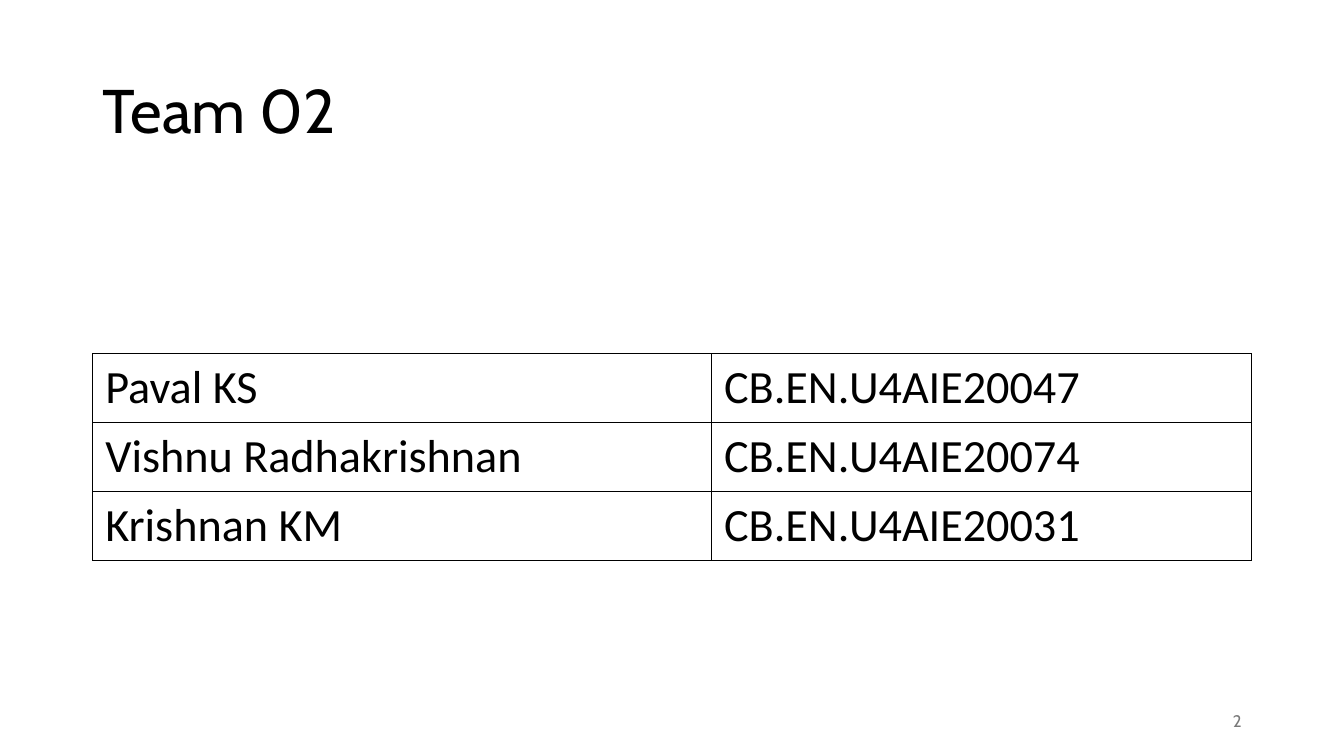
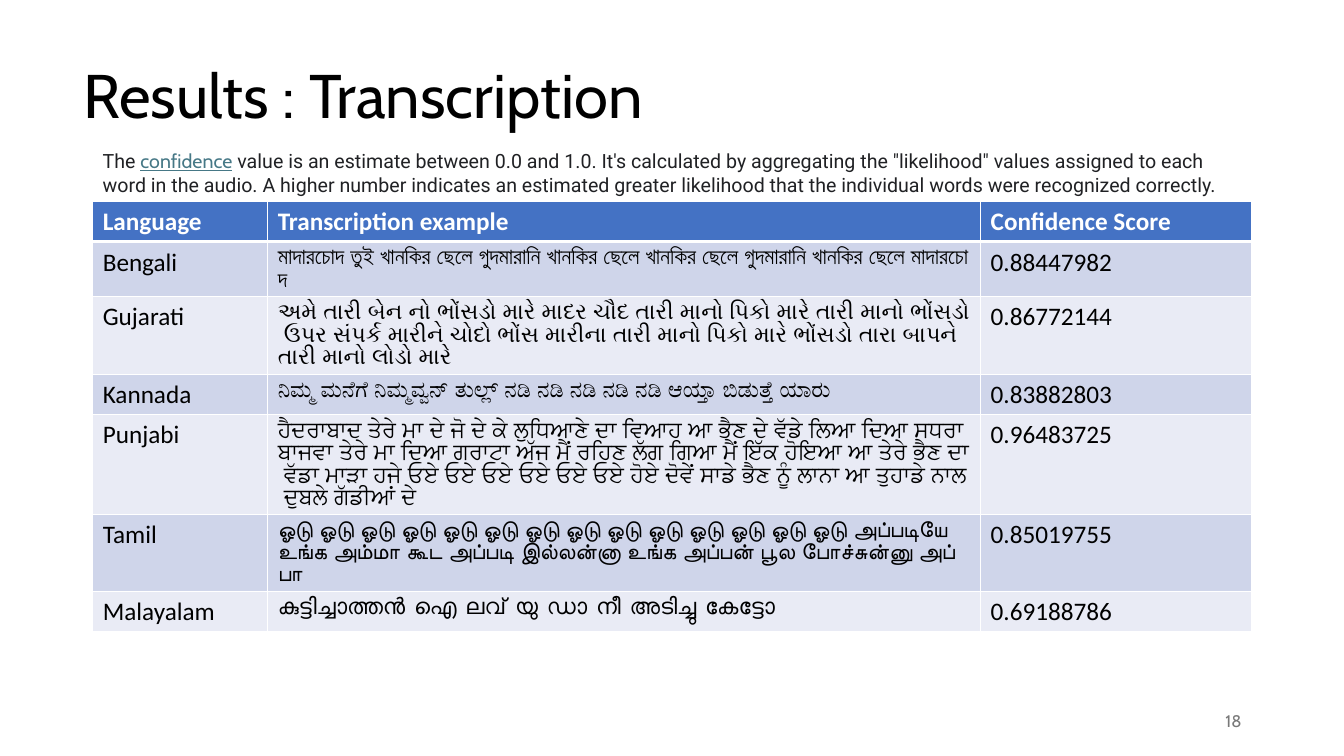
from lxml.etree import SubElement
from pptx import Presentation
from pptx.dml.color import RGBColor
from pptx.enum.text import MSO_ANCHOR as Anchor, PP_ALIGN as Align
from pptx.oxml.ns import qn
from pptx.util import Pt

# Colours and fonts
BLACK = RGBColor(0x00, 0x00, 0x00)
WHITE = RGBColor(0xFF, 0xFF, 0xFF)
GREY = RGBColor(0x79, 0x79, 0x79)
INK = RGBColor(0x20, 0x21, 0x24)
LINK = RGBColor(0x46, 0x78, 0x86)
HEADER = RGBColor(0x44, 0x72, 0xC4)
BANDS = [RGBColor(0xCF, 0xD5, 0xEA), RGBColor(0xE9, 0xEB, 0xF5)]
TITLE_FONT, TABLE_FONT, NOTE_FONT = "Cabin", "Calibri", "Roboto"

# Layout, in points
LEFT, CONTENT_WIDTH = 66.25, 828
NO_BREAK_SPACE = chr(160)


def unbroken(text):
    return text.replace(" ", NO_BREAK_SPACE)


class Deck:
    def __init__(self):
        self.presentation = Presentation()
        self.presentation.slide_width = Pt(960)
        self.presentation.slide_height = Pt(540)
        self.slide = None

    def add_slide(self, title, number, left, top):
        blank = self.presentation.slide_layouts[6]
        self.slide = self.presentation.slides.add_slide(blank)
        paragraph = self.text_box(left, top, CONTENT_WIDTH, 104.4, Anchor.MIDDLE)
        paragraph.line_spacing = 0.9
        self.run(paragraph, title, 44, TITLE_FONT)
        paragraph = self.text_box(678, 500.5, 216, 28.75, Anchor.MIDDLE)
        paragraph.alignment = Align.RIGHT
        self.run(paragraph, number, 12, TITLE_FONT, GREY)

    def text_box(self, left, top, width, height, anchor=Anchor.TOP):
        shape = self.slide.shapes.add_textbox(Pt(left), Pt(top), Pt(width), Pt(height))
        frame = shape.text_frame
        frame.word_wrap = True
        frame.vertical_anchor = anchor
        return frame.paragraphs[0]

    def run(self, paragraph, text, size, font, color=BLACK, bold=False, underline=False):
        run = paragraph.add_run()
        run.text = text
        run.font.size = Pt(size)
        run.font.name = font
        run.font.color.rgb = color
        run.font.bold = bold
        run.font.underline = underline

    def table(self, top, widths, row_height, row_count):
        shape = self.slide.shapes.add_table(
            row_count, len(widths), Pt(LEFT), Pt(top),
            Pt(sum(widths)), Pt(row_height * row_count))
        table = shape.table
        table.first_row = table.horz_banding = False
        for column, width in zip(table.columns, widths):
            column.width = Pt(width)
        for row in table.rows:
            row.height = Pt(row_height)
        return table

    def cell(self, cell, text, size, line, line_width, fill=None, color=BLACK,
             bold=False, margins=(7.2, 3.6), line_pitch=None,
             top_width=None, bottom_width=None):
        cell.margin_left = cell.margin_right = Pt(margins[0])
        cell.margin_top = cell.margin_bottom = Pt(margins[1])
        paragraph = cell.text_frame.paragraphs[0]
        if line_pitch:
            paragraph.line_spacing = Pt(line_pitch)
        self.run(paragraph, text, size, TABLE_FONT, color, bold)
        # Borders come before the fill in the cell properties
        borders = {"L": line_width, "R": line_width,
                   "T": top_width or line_width, "B": bottom_width or line_width}
        properties = cell._tc.get_or_add_tcPr()
        for side, width in borders.items():
            border = SubElement(properties, qn(f"a:ln{side}"), w=str(int(Pt(width))))
            solid = SubElement(border, qn("a:solidFill"))
            SubElement(solid, qn("a:srgbClr"), val=str(line))
        if fill is None:
            cell.fill.background()
        else:
            cell.fill.solid()
            cell.fill.fore_color.rgb = fill


TEAM = [
    ("Paval KS", "CB.EN.U4AIE20047"),
    ("Vishnu Radhakrishnan", "CB.EN.U4AIE20074"),
    ("Krishnan KM", "CB.EN.U4AIE20031"),
]

RESULTS = [
    ("Language", "Transcription example", "Confidence Score"),
    ("Bengali",
     "মাদারচোদ তুই খানকির ছেলে গুদমারানি খানকির ছেলে খানকির ছেলে "
     "গুদমারানি খানকির ছেলে মাদারচোদ",
     "0.88447982"),
    ("Gujarati",
     "અમે તારી બેન નો ભોંસડો મારે માદર ચૌદ તારી માનો પિકો મારે તારી માનો ભોંસડો "
     "ઉપર સંપર્ક મારીને ચોદો ભોંસ મારીના તારી માનો પિકો મારે ભોંસડો તારા બાપને "
     "તારી માનો લોડો મારે",
     "0.86772144"),
    ("Kannada",
     "ನಿಮ್ಮ ಮನೆಗೆ ನಿಮ್ಮವ್ವನ್ ತುಲ್ಲ್ ನಡಿ ನಡಿ ನಡಿ ನಡಿ ನಡಿ ಆಯ್ತಾ ಬಿಡುತ್ತೆ ಯಾರು",
     "0.83882803"),
    ("Punjabi",
     "ਹੈਦਰਾਬਾਦ ਤੇਰੇ ਮਾ ਦੇ ਜੋ ਦੇ ਕੇ ਲੁਧਿਆਣੇ ਦਾ ਵਿਆਹ ਆ ਭੈਣ ਦੇ ਵੱਡੇ ਲਿਆ ਦਿਆ ਸਧਰਾ "
     "ਬਾਜਵਾ ਤੇਰੇ ਮਾ ਦਿਆ ਗਰਾਟਾ ਅੱਜ ਮੈਂ ਰਹਿਣ ਲੱਗ ਗਿਆ ਮੈਂ ਇੱਕ ਹੋਇਆ ਆ ਤੇਰੇ ਭੈਣ ਦਾ "
     "ਵੱਡਾ ਮਾੜਾ ਹਜੇ ਓਏ ਓਏ ਓਏ ਓਏ ਓਏ ਓਏ ਹੋਏ ਦੋਵੇਂ ਸਾਡੇ ਭੈਣ ਨੂੰ ਲਾਨਾ ਆ ਤੁਹਾਡੇ ਨਾਲ "
     "ਦੁਬਲੇ ਗੱਡੀਆਂ ਦੇ",
     "0.96483725"),
    ("Tamil",
     "ஓடு ஓடு ஓடு ஓடு ஓடு ஓடு ஓடு ஓடு ஓடு ஓடு ஓடு ஓடு ஓடு ஓடு அப்படியே "
     "உங்க அம்மா கூட அப்படி இல்லன்னா உங்க அப்பன் பூல போச்சுன்னு அப்பா",
     "0.85019755"),
    ("Malayalam",
     "കുട്ടിച്ചാത്തൻ ഐ ലവ് യു ഡാ നീ അടിച്ചു കേട്ടോ",
     "0.69188786"),
]


def add_team(deck):
    deck.add_slide("Team 02", "2", LEFT, 28.75)
    table = deck.table(252.5, [442, 386], 49.25, len(TEAM))
    for row, member in enumerate(TEAM):
        for column, text in enumerate(member):
            deck.cell(table.cell(row, column), unbroken(text), 33, BLACK, 0.75,
                      margins=(9, 4.5))


def add_results(deck):
    deck.add_slide("Results : Transcription", "18", 52.5, 18)

    # Results table: a header row, then alternating bands
    table = deck.table(144, [125, 509.25, 193.75], 28.8, len(RESULTS))
    for row, result in enumerate(RESULTS):
        is_header = row == 0
        for column, text in enumerate(result):
            is_example = column == 1 and not is_header
            deck.cell(table.cell(row, column),
                      unbroken(text) if is_example else text,
                      16 if is_example else 18, WHITE, 0.82,
                      fill=HEADER if is_header else BANDS[(row - 1) % 2],
                      color=WHITE if is_header else BLACK, bold=is_header,
                      line_pitch=16 if is_example else None,
                      top_width=2.47 if row == 1 else None,
                      bottom_width=2.47 if is_header else None)

    # Explanation of the score
    paragraph = deck.text_box(LEFT, 103, CONTENT_WIDTH, 41)
    deck.run(paragraph, "The ", 14, NOTE_FONT, INK)
    deck.run(paragraph, "confidence", 14, TITLE_FONT, LINK, underline=True)
    deck.run(paragraph,
             " value is an estimate between 0.0 and 1.0. It's calculated by aggregating "
             "the \"likelihood\" values assigned to each word in the audio. A higher number "
             "indicates an estimated greater likelihood that the individual words were "
             "recognized correctly.", 14, NOTE_FONT, INK)


def main():
    deck = Deck()
    add_team(deck)
    add_results(deck)
    deck.presentation.save("out.pptx")


if __name__ == "__main__":
    main()
